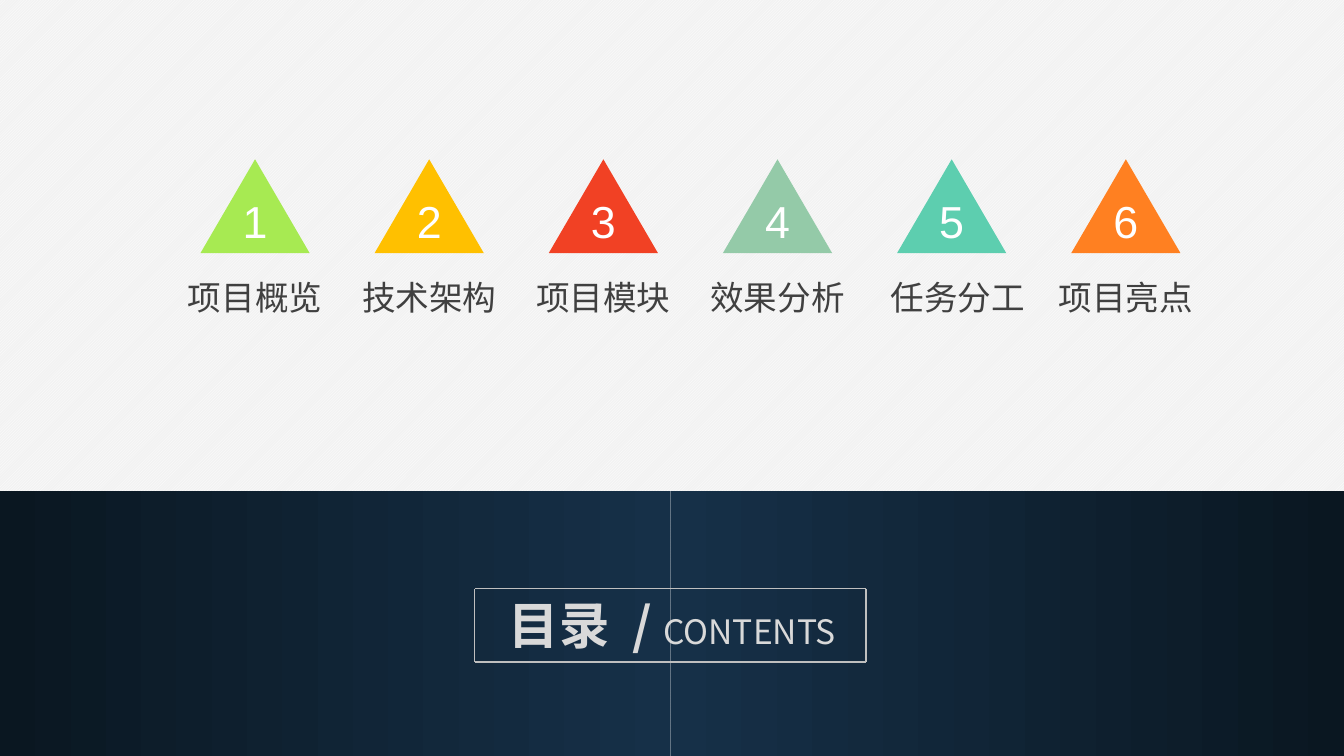
from lxml import etree
from pptx import Presentation
from pptx.dml.color import RGBColor
from pptx.enum import dml, shapes, text
from pptx.oxml import ns
from pptx.util import Pt

WHITE = RGBColor(0xFF, 0xFF, 0xFF)
PAPER = RGBColor(0xF2, 0xF2, 0xF2)
NAVY = RGBColor(0x16, 0x30, 0x48)
NIGHT = RGBColor(0x0A, 0x17, 0x21)
DARK = RGBColor(0x40, 0x40, 0x40)
LIGHT = RGBColor(0xD9, 0xD9, 0xD9)
FRAME = RGBColor(0xBF, 0xBF, 0xBF)
GREEN = RGBColor(0xA7, 0xEA, 0x52)
AMBER = RGBColor(0xFF, 0xC0, 0x00)
RED = RGBColor(0xF1, 0x41, 0x24)
SAGE = RGBColor(0x94, 0xCA, 0xA8)
TEAL = RGBColor(0x5D, 0xCE, 0xAF)
ORANGE = RGBColor(0xFF, 0x80, 0x21)

CJK = "Noto Sans CJK SC"
LATIN = "Arial"


class Deck:
    def __init__(self, width, height):
        self.prs = Presentation()
        self.prs.slide_width, self.prs.slide_height = Pt(width), Pt(height)
        self.s = self.prs.slides.add_slide(self.prs.slide_layouts[6])

    def background(self):
        fill = self.s.background.fill
        fill.patterned()
        fill.pattern = dml.MSO_PATTERN.LIGHT_UPWARD_DIAGONAL
        fill.fore_color.rgb, fill.back_color.rgb = WHITE, PAPER

    def shape(self, parent, kind, x, y, w, h):
        sp = parent.shapes.add_shape(kind, Pt(x), Pt(y), Pt(w), Pt(h))
        sp.shadow.inherit = False
        sp.line.fill.background()
        return sp

    def band(self, x, y, w, h, rotation=0):
        sp = self.shape(self.s, shapes.MSO_SHAPE.RECTANGLE, x, y, w, h)
        sp.rotation = rotation
        sp.fill.gradient()
        sp.fill.gradient_angle = 0
        for stop, color in zip(sp.fill.gradient_stops, (NAVY, NIGHT)):
            stop.color.rgb = color

    def text(self, parent, x, y, w, h, runs, color, font=CJK, wrap=False):
        sp = parent.shapes.add_textbox(Pt(x), Pt(y), Pt(w), Pt(h))
        tf = sp.text_frame
        tf.word_wrap = wrap
        tf.auto_size = text.MSO_AUTO_SIZE.SHAPE_TO_FIT_TEXT
        p = tf.paragraphs[0]
        p.alignment = text.PP_ALIGN.CENTER
        for words, size, bold, spacing in runs:
            r = p.add_run()
            r.text = words
            r.font.size, r.font.bold = Pt(size), bold
            r.font.name, r.font.color.rgb = font, color
            rPr = r._r.get_or_add_rPr()
            etree.SubElement(rPr, ns.qn("a:ea")).set("typeface", font)
            if spacing:
                rPr.set("spc", str(spacing * 100))

    def line(self, start, end):
        sp = self.s.shapes.add_connector(
            shapes.MSO_CONNECTOR.STRAIGHT, *map(Pt, start + end))
        sp.line.color.rgb, sp.line.width = FRAME, Pt(1)
        etree.SubElement(sp._element.spPr, ns.qn("a:effectLst"))

    def badge(self, center, number, color):
        group = self.s.shapes.add_group_shape()
        sp = self.shape(group, shapes.MSO_SHAPE.ISOSCELES_TRIANGLE,
                        center - 39, 113.8, 78, 67)
        sp.fill.solid()
        sp.fill.fore_color.rgb = color
        self.text(group, center - 16.2, 134.6, 32.4, 46,
                  [(str(number), 32, False, 0)], WHITE, LATIN)


def main():
    deck = Deck(960, 540)
    deck.background()
    deck.band(0, 351, 478.8, 189, 180)
    deck.band(478.8, 351, 481.2, 189)

    topics = [("项目概览", GREEN, 0), ("技术架构", AMBER, 0), ("项目模块", RED, 0),
              ("效果分析", SAGE, 0), ("任务分工", TEAL, 4.5), ("项目亮点", ORANGE, 0)]
    for i, (topic, color, shift) in enumerate(topics):
        center = 182.2 + 124.4 * i
        deck.badge(center, i + 1, color)
        deck.text(deck.s, center + shift - 55.8, 194.4, 111.6, 36,
                  [(topic, 24, False, 0)], DARK)

    deck.text(deck.s, 350, 420.5, 260.6, 51,
              [("目录", 36, True, 0), (" ", 36, True, 8), ("/ ", 36, True, 0),
               ("CONTENTS", 24, False, 0)], LIGHT, wrap=True)
    left, top, right, bottom = 339.1, 420.5, 618.5, 473
    corners = [(left, top), (right, top), (right, bottom), (left, bottom)]
    for start, end in zip(corners, corners[1:] + corners[:1]):
        deck.line(start, end)

    deck.prs.save("out.pptx")


if __name__ == "__main__":
    main()
